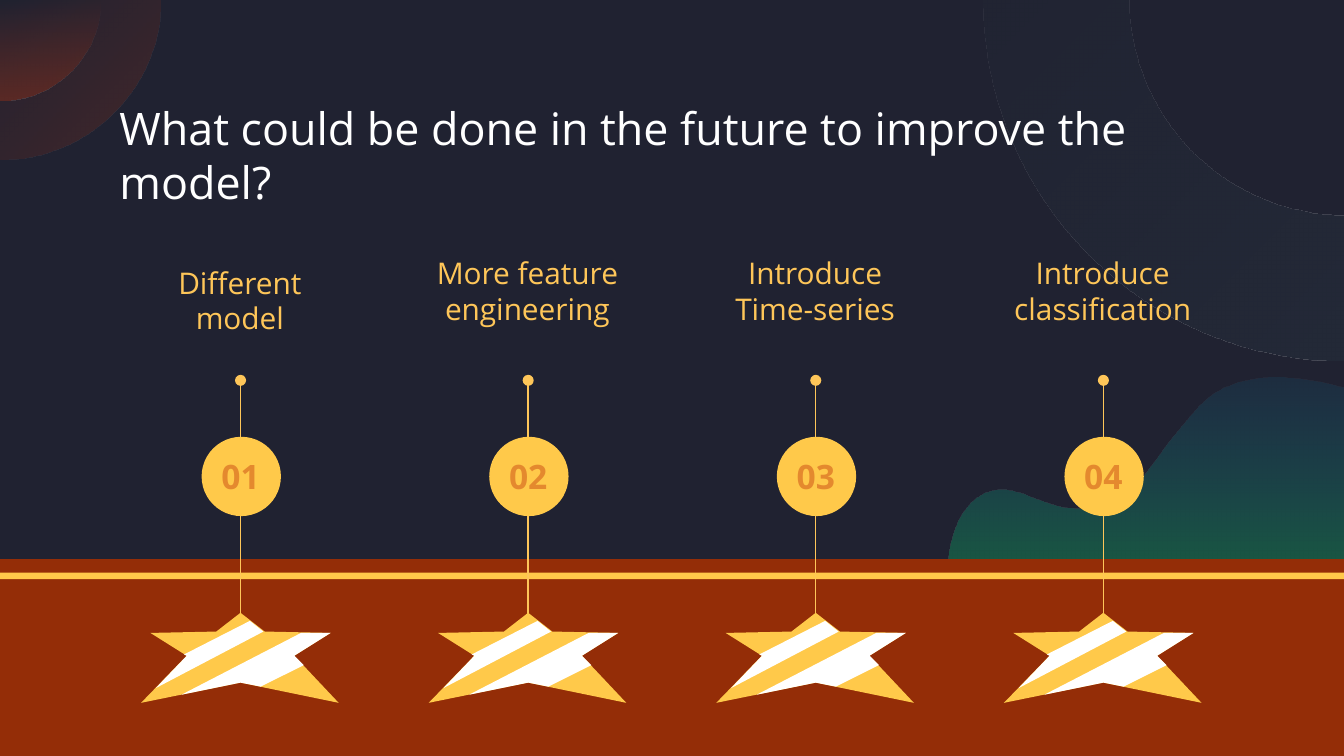
from dataclasses import dataclass

from lxml import etree
from pptx import Presentation
from pptx import util as u
from pptx.dml.color import RGBColor
from pptx.enum import shapes, text
from pptx.oxml import ns


@dataclass(frozen=True)
class Theme:
    font: str = "Open Sans"
    night: str = "202231"
    floor: str = "942D07"
    gold: str = "FFC94A"
    label: str = "FEC659"
    number: str = "E4892E"
    white: str = "FFFFFF"
    ember: str = "9C3218"
    haze: str = "252C3A"
    hill_base: str = "0AC668"
    hill_top: str = "0A94C6"
    title_size: int = 24
    label_size: int = 16
    number_size: int = 18


THEME = Theme()
WIDTH = 10
HEIGHT = WIDTH * 9 / 16
STEPS = ["Different model", "More feature engineering",
         "Introduce Time-series", "Introduce classification"]
FIRST_CENTER, PITCH = 1.79, 2.14

# Star outlines: x from the star's centre, y on the slide
STAR = [(0, 4.56), (-0.18, 4.7), (-0.67, 4.71), (-0.4, 4.88), (-0.74, 5.23),
        (0, 5.08), (0.73, 5.23), (0.4, 4.88), (0.67, 4.71), (0.18, 4.7)]
WIDE_STRIPE = [(0.45, 4.71), (-0.44, 5.17), (0, 5.08), (0.15, 5.11),
               (0.47, 4.95), (0.4, 4.88), (0.67, 4.71)]
NARROW_STRIPE = [(0.07, 4.62), (-0.42, 4.87), (-0.4, 4.88), (-0.63, 5.12),
                 (0.17, 4.7)]


def paint(shape, color):
    shape.shadow.inherit = False
    shape.line.fill.background()
    shape.fill.solid()
    shape.fill.fore_color.rgb = RGBColor.from_string(color)


def paint_gradient(shape, start, end, angle):
    """Fill from start to end, each a (colour, opacity in percent) pair."""
    paint(shape, start[0])
    solid = shape._element.spPr.find(ns.qn("a:solidFill"))
    gradient = etree.Element(ns.qn("a:gradFill"), rotWithShape="1")
    stops = etree.SubElement(gradient, ns.qn("a:gsLst"))
    for position, (color, opacity) in ((0, start), (100, end)):
        stop = etree.SubElement(stops, ns.qn("a:gs"), pos=str(position * 1000))
        rgb = etree.SubElement(stop, ns.qn("a:srgbClr"), val=color)
        etree.SubElement(rgb, ns.qn("a:alpha"), val=str(opacity * 1000))
    etree.SubElement(gradient, ns.qn("a:lin"), ang=str(angle * 60000), scaled="0")
    solid.getparent().replace(solid, gradient)


def trace(start, segments, steps=32):
    """Turn points (x, y) and Bezier curves (six numbers) into outline points."""
    points = [start]
    for segment in segments:
        if len(segment) == 2:
            points.append(segment)
            continue
        knots = [points[-1], segment[:2], segment[2:4], segment[4:]]
        for step in range(1, steps + 1):
            t = step / steps
            weights = ((1 - t) ** 3, 3 * t * (1 - t) ** 2, 3 * t * t * (1 - t), t ** 3)
            points.append(tuple(sum(w * knot[axis] for w, knot in zip(weights, knots))
                                for axis in (0, 1)))
    return points


def add_outline(parent, points):
    corners = [(u.Inches(x), u.Inches(y)) for x, y in points]
    builder = parent.build_freeform(*corners[0])
    builder.add_line_segments(corners[1:], close=True)
    return builder.convert_to_shape()


def add_text(slide, words, left, top, width, height, *, size, color, bold=False,
             align=text.PP_ALIGN.CENTER, anchor=text.MSO_ANCHOR.MIDDLE):
    box = slide.shapes.add_textbox(*map(u.Inches, (left, top, width, height)))
    frame = box.text_frame
    frame.word_wrap = True
    frame.vertical_anchor = anchor
    frame.margin_left = frame.margin_right = u.Inches(0.1)
    frame.margin_top = frame.margin_bottom = u.Inches(0.1)
    paragraph = frame.paragraphs[0]
    paragraph.alignment = align
    run = paragraph.add_run()
    run.text = words
    run.font.name = THEME.font
    run.font.size = u.Pt(size)
    run.font.bold = bold
    run.font.color.rgb = RGBColor.from_string(color)


def add_block(slide, kind, left, top, width, height, color):
    block = slide.shapes.add_shape(kind, *map(u.Inches, (left, top, width, height)))
    paint(block, color)


def add_stem(slide, center):
    stem = slide.shapes.add_connector(
        shapes.MSO_CONNECTOR.STRAIGHT,
        *map(u.Inches, (center, 2.83, center, 4.68)))
    stem.line.color.rgb = RGBColor.from_string(THEME.label)
    stem.line.width = u.Pt(0.75)
    for end in ("a:headEnd", "a:tailEnd"):
        etree.SubElement(stem.line._get_or_add_ln(), ns.qn(end), type="oval")
    etree.SubElement(stem._element.spPr, ns.qn("a:effectLst"))


def add_star(slide, center):
    star = slide.shapes.add_group_shape()
    for outline, color in ((STAR, THEME.gold), (WIDE_STRIPE, THEME.white),
                           (NARROW_STRIPE, THEME.white)):
        paint(add_outline(star.shapes, [(center + x, y) for x, y in outline]), color)


def add_scenery(slide):
    # Glowing quarter discs in the top left corner
    for radius, opacity, angle in ((1.19, 30, 225), (0.75, 42, 270)):
        bend = radius * 0.55
        disc = trace((0, 0), [(0, radius),
                              (bend, radius, radius, bend, radius, 0)])
        paint_gradient(add_outline(slide.shapes, disc),
                       (THEME.ember, opacity), (THEME.ember, 0), angle)

    # Faint ring in the top right corner
    ring = trace((7.32, 0), [(7.32, 1.48, 8.52, 2.68, 10, 2.68), (10, 1.6),
                             (9.12, 1.6, 8.4, 0.88, 8.4, 0)])
    paint_gradient(add_outline(slide.shapes, ring),
                   (THEME.haze, 75), (THEME.haze, 20), 225)

    # Hills
    hills = trace((9.49, 2.81), [
        (9.28, 2.81, 9.08, 2.86, 8.93, 3.01), (8.47, 3.51, 8.48, 3.74, 8.11, 3.78),
        (8.08, 3.78, 8.06, 3.78, 8.03, 3.78), (7.78, 3.78, 7.63, 3.64, 7.46, 3.64),
        (7.42, 3.64, 7.37, 3.65, 7.32, 3.67), (7.06, 3.81, 7.06, 4.2, 7.06, 4.2),
        (10, 4.2), (10, 2.89), (9.84, 2.84, 9.66, 2.81, 9.49, 2.81)])
    paint_gradient(add_outline(slide.shapes, hills),
                   (THEME.hill_base, 33), (THEME.hill_top, 10), 270)

    # Stage floor and its golden band
    bar = shapes.MSO_SHAPE.RECTANGLE
    add_block(slide, bar, 0, 4.16, WIDTH, HEIGHT - 4.16, THEME.floor)
    add_block(slide, bar, 0, 4.26, WIDTH, 0.05, THEME.gold)


def add_step(slide, index, label):
    center = FIRST_CENTER + PITCH * index
    label_top = 2.2 if index == 0 else 2.13
    add_text(slide, label, center - 0.82, label_top, 1.63, 0.4,
             size=THEME.label_size, color=THEME.label, anchor=text.MSO_ANCHOR.BOTTOM)
    add_stem(slide, center)
    add_block(slide, shapes.MSO_SHAPE.OVAL, center - 0.29, 3.25, 0.59, 0.59, THEME.gold)
    add_text(slide, f"{index + 1:02}", center - 0.31, 3.25, 0.62, 0.59,
             size=THEME.number_size, color=THEME.number, bold=True)
    add_star(slide, center)


def main():
    deck = Presentation()
    deck.slide_width, deck.slide_height = u.Inches(WIDTH), u.Inches(HEIGHT)
    slide = deck.slides.add_slide(deck.slide_layouts[6])
    slide.background.fill.solid()
    slide.background.fill.fore_color.rgb = RGBColor.from_string(THEME.night)

    add_scenery(slide)
    add_text(slide, "What could be done in the future to improve the model?",
             0.79, 0.65, 8.48, 0.63, size=THEME.title_size, color=THEME.white,
             align=text.PP_ALIGN.LEFT, anchor=text.MSO_ANCHOR.TOP)
    for index, label in enumerate(STEPS):
        add_step(slide, index, label)

    deck.save("out.pptx")


if __name__ == "__main__":
    main()
